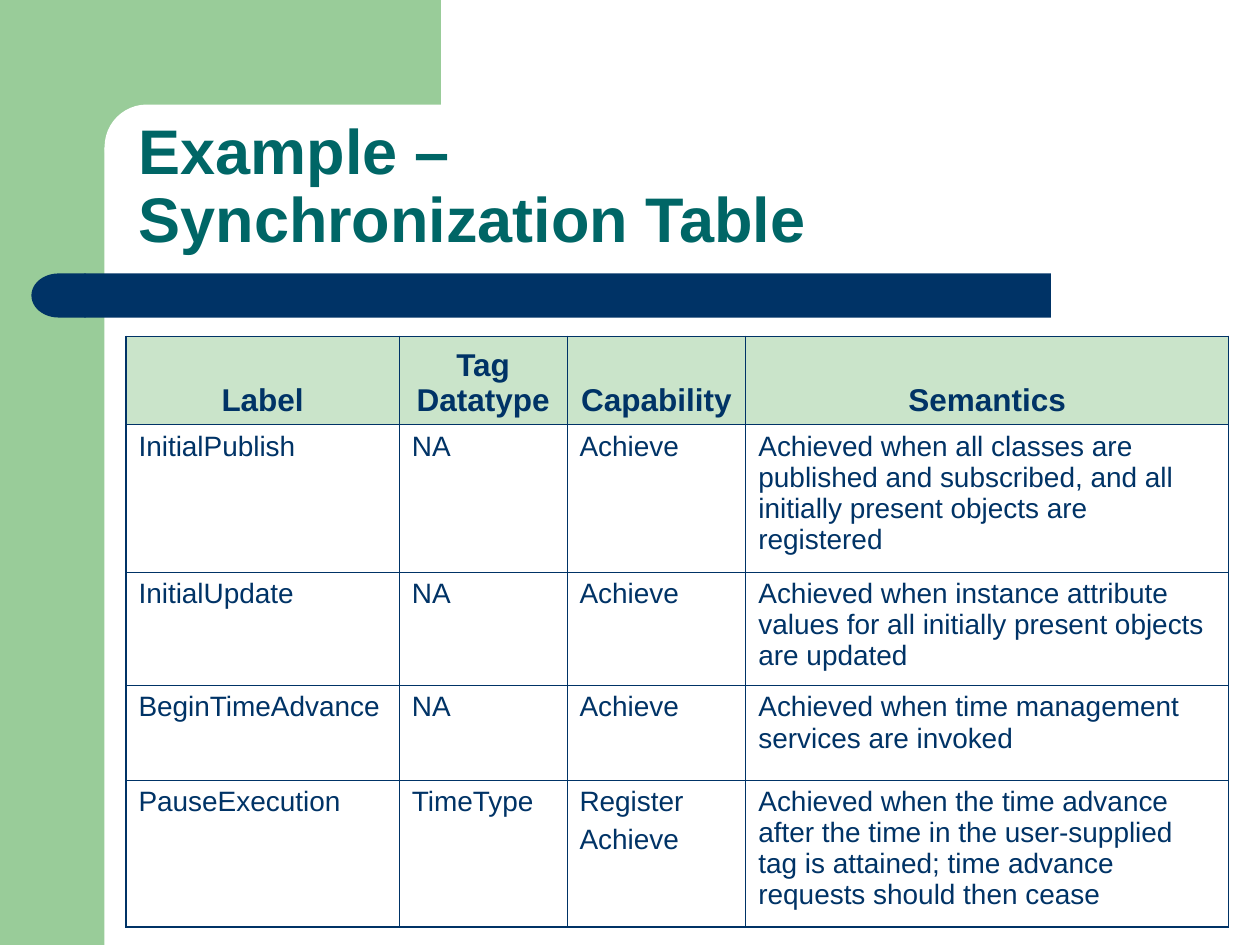
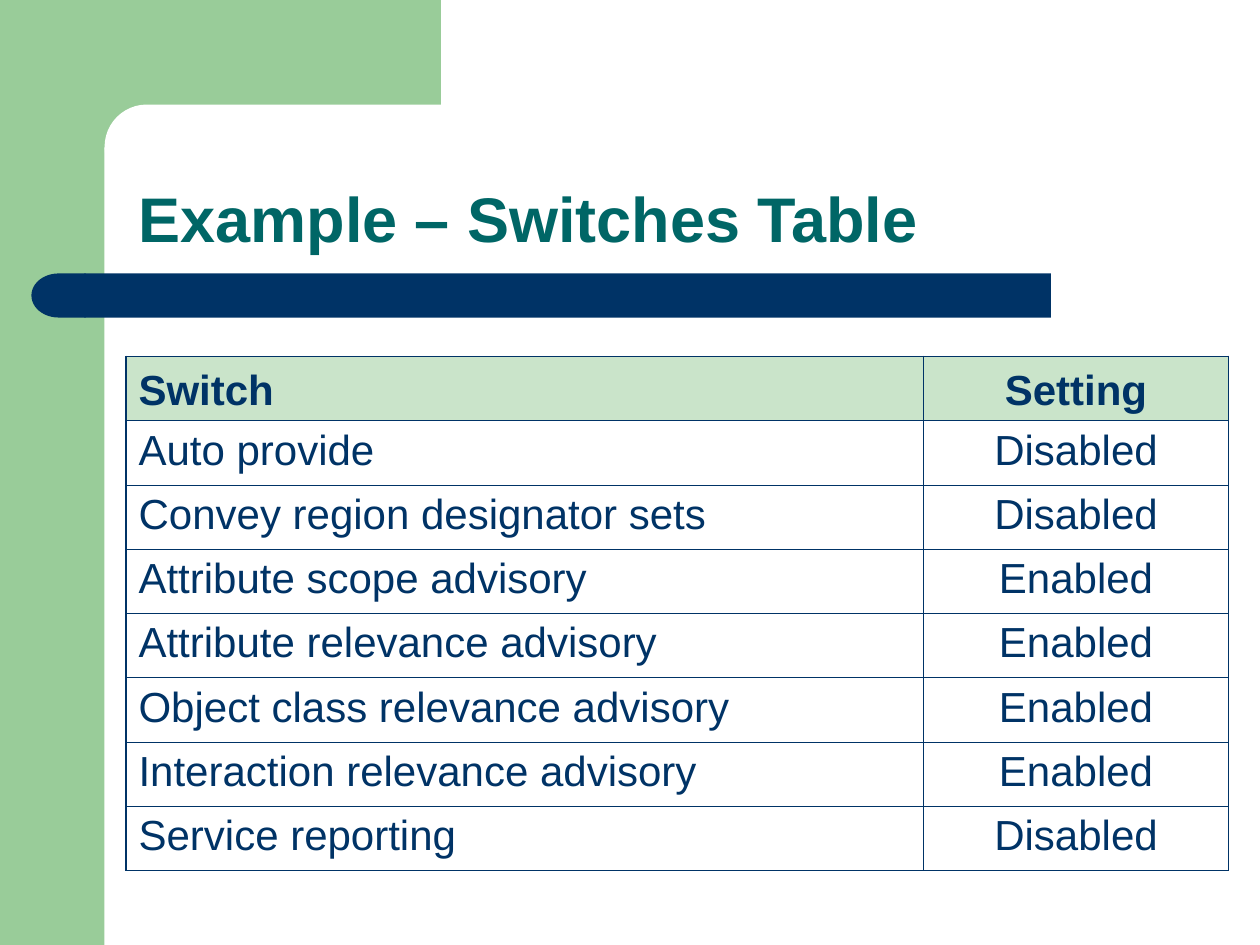
from lxml import etree
from pptx import Presentation
from pptx.dml.color import RGBColor
from pptx.enum.shapes import MSO_SHAPE
from pptx.enum.text import MSO_ANCHOR, MSO_AUTO_SIZE, PP_ALIGN
from pptx.oxml.ns import qn
from pptx.util import Inches, Pt

LEFT, CENTER = PP_ALIGN.LEFT, PP_ALIGN.CENTER
TOP, BOTTOM = MSO_ANCHOR.TOP, MSO_ANCHOR.BOTTOM
RECTANGLE = MSO_SHAPE.RECTANGLE
ROUNDED = MSO_SHAPE.ROUNDED_RECTANGLE
DELAY = MSO_SHAPE.FLOWCHART_DELAY

GREEN = RGBColor(0x99, 0xCC, 0x99)
PALE_GREEN = RGBColor(0xCA, 0xE4, 0xCA)
NAVY = RGBColor(0x00, 0x33, 0x66)
TEAL = RGBColor(0x00, 0x66, 0x66)
WHITE = RGBColor(0xFF, 0xFF, 0xFF)
FONT = "Arial"
OUTER_LINE, INNER_LINE = Pt(1.08), Pt(0.45)
TITLE_BOX = (1, 0.83, 8.75, 1.25)
TABLE_LEFT = 1

# Background parts: shape, box, colour, corner rounding, mirrored
BACKGROUND = [
    (RECTANGLE, (0, 0, 0.83, 7.5), GREEN, None, False),
    (RECTANGLE, (0.75, 0, 2.75, 1.17), GREEN, None, False),
    (ROUNDED, (0.83, 0.83, 5.58, 0.67), WHITE, 0.5, False),
    (ROUNDED, (0.67, 2.17, 7.67, 0.35), NAVY, 0, False),
    (DELAY, (0.25, 2.17, 0.43, 0.35), NAVY, None, True),
]

# Slide content; a list in a cell holds several paragraphs
SLIDES = [
    {
        "title": "Example –\vSynchronization Table",
        "top": 2.67,
        "columns": [2.17, 1.33, 1.42, 3.83],
        "heights": [0.7, 1.17, 0.9, 0.75, 1.17],
        "header_size": 18,
        "body_size": 16,
        "space_before": 4,
        "header_alignment": [CENTER] * 4,
        "body_alignment": [LEFT] * 4,
        "rows": [
            ("Label", "Tag Datatype", "Capability", "Semantics"),
            ("InitialPublish", "NA", "Achieve",
             "Achieved when all classes are published and subscribed, "
             "and all initially present objects are registered"),
            ("InitialUpdate", "NA", "Achieve",
             "Achieved when instance attribute values for all initially "
             "present objects are updated"),
            ("BeginTimeAdvance", "NA", "Achieve",
             "Achieved when time management services are invoked"),
            ("PauseExecution", "TimeType", ["Register", "Achieve"],
             "Achieved when the time advance after the time in the "
             "user-supplied tag is attained; time advance requests "
             "should then cease"),
        ],
    },
    {
        "title": "Example – Switches Table",
        "top": 2.83,
        "columns": [6.33, 2.42],
        "heights": [0.51] * 8,
        "header_size": 24,
        "body_size": 24,
        "space_before": 6,
        "header_alignment": [LEFT, CENTER],
        "body_alignment": [LEFT, CENTER],
        "rows": [
            ("Switch", "Setting"),
            ("Auto provide", "Disabled"),
            ("Convey region designator sets", "Disabled"),
            ("Attribute scope advisory", "Enabled"),
            ("Attribute relevance advisory", "Enabled"),
            ("Object class relevance advisory", "Enabled"),
            ("Interaction relevance advisory", "Enabled"),
            ("Service reporting", "Disabled"),
        ],
    },
]


def write_text(frame, text, size, color, bold=False, alignment=LEFT,
               space_before=0, line_spacing=None):
    """Fill a text frame with one paragraph, or one for each list item."""
    lines = text if isinstance(text, list) else [text]
    for index, line in enumerate(lines):
        paragraph = frame.add_paragraph() if index else frame.paragraphs[0]
        paragraph.text = line
        paragraph.alignment = alignment
        paragraph.space_before = Pt(space_before if index else 0)
        if line_spacing:
            paragraph.line_spacing = line_spacing
        for run in paragraph.runs:
            run.font.name = FONT
            run.font.size = Pt(size)
            run.font.bold = bold
            run.font.color.rgb = color


def add_background(slide, layout):
    """Draw the shared bands and move them to the layout."""
    for kind, box, color, rounding, mirrored in BACKGROUND:
        shape = slide.shapes.add_shape(kind, *map(Inches, box))
        shape.shadow.inherit = False
        shape.fill.solid()
        shape.fill.fore_color.rgb = color
        shape.line.fill.background()
        if rounding is not None:
            shape.adjustments[0] = rounding
        if mirrored:
            shape._element.spPr.find(qn("a:xfrm")).set("flipH", "1")
        layout.shapes._spTree.append(shape._element)


def add_title(slide, text):
    title = slide.shapes.title
    title.left, title.top, title.width, title.height = map(Inches, TITLE_BOX)
    frame = title.text_frame
    frame.word_wrap = True
    frame.auto_size = MSO_AUTO_SIZE.NONE
    frame.vertical_anchor = BOTTOM
    write_text(frame, text, 36, TEAL, bold=True, line_spacing=0.9)


def set_borders(cell, outer_sides):
    """Draw the four cell edges, heavier on the table's outside."""
    properties = cell._tc.get_or_add_tcPr()
    for side in "LRTB":
        width = OUTER_LINE if side in outer_sides else INNER_LINE
        line = etree.SubElement(properties, qn(f"a:ln{side}"), w=str(width))
        fill = etree.SubElement(line, qn("a:solidFill"))
        etree.SubElement(fill, qn("a:srgbClr"), val=str(NAVY))


def add_table(slide, content):
    rows, columns, heights = (content[key] for key in ("rows", "columns", "heights"))
    table = slide.shapes.add_table(
        len(rows), len(columns), Inches(TABLE_LEFT), Inches(content["top"]),
        Inches(sum(columns)), Inches(sum(heights))).table
    table.first_row = table.horz_banding = False
    for column, width in zip(table.columns, columns):
        column.width = Inches(width)
    for row, height in zip(table.rows, heights):
        row.height = Inches(height)

    for row_index, row in enumerate(rows):
        is_header = row_index == 0
        part = "header" if is_header else "body"
        for column_index, text in enumerate(row):
            cell = table.cell(row_index, column_index)
            edges = {"L": column_index == 0, "R": column_index == len(columns) - 1,
                     "T": is_header, "B": row_index == len(rows) - 1}
            set_borders(cell, [side for side, outside in edges.items() if outside])
            if is_header:
                cell.fill.solid()
                cell.fill.fore_color.rgb = PALE_GREEN
            else:
                cell.fill.background()
            cell.vertical_anchor = BOTTOM if is_header else TOP
            write_text(cell.text_frame, text, content[f"{part}_size"], NAVY,
                       bold=is_header,
                       alignment=content[f"{part}_alignment"][column_index],
                       space_before=content["space_before"])


def main():
    presentation = Presentation()
    presentation.slide_width, presentation.slide_height = Inches(10), Inches(7.5)
    layout = presentation.slide_layouts[5]
    for index, content in enumerate(SLIDES):
        slide = presentation.slides.add_slide(layout)
        if index == 0:
            add_background(slide, layout)
        add_title(slide, content["title"])
        add_table(slide, content)
    presentation.save("out.pptx")


if __name__ == "__main__":
    main()
